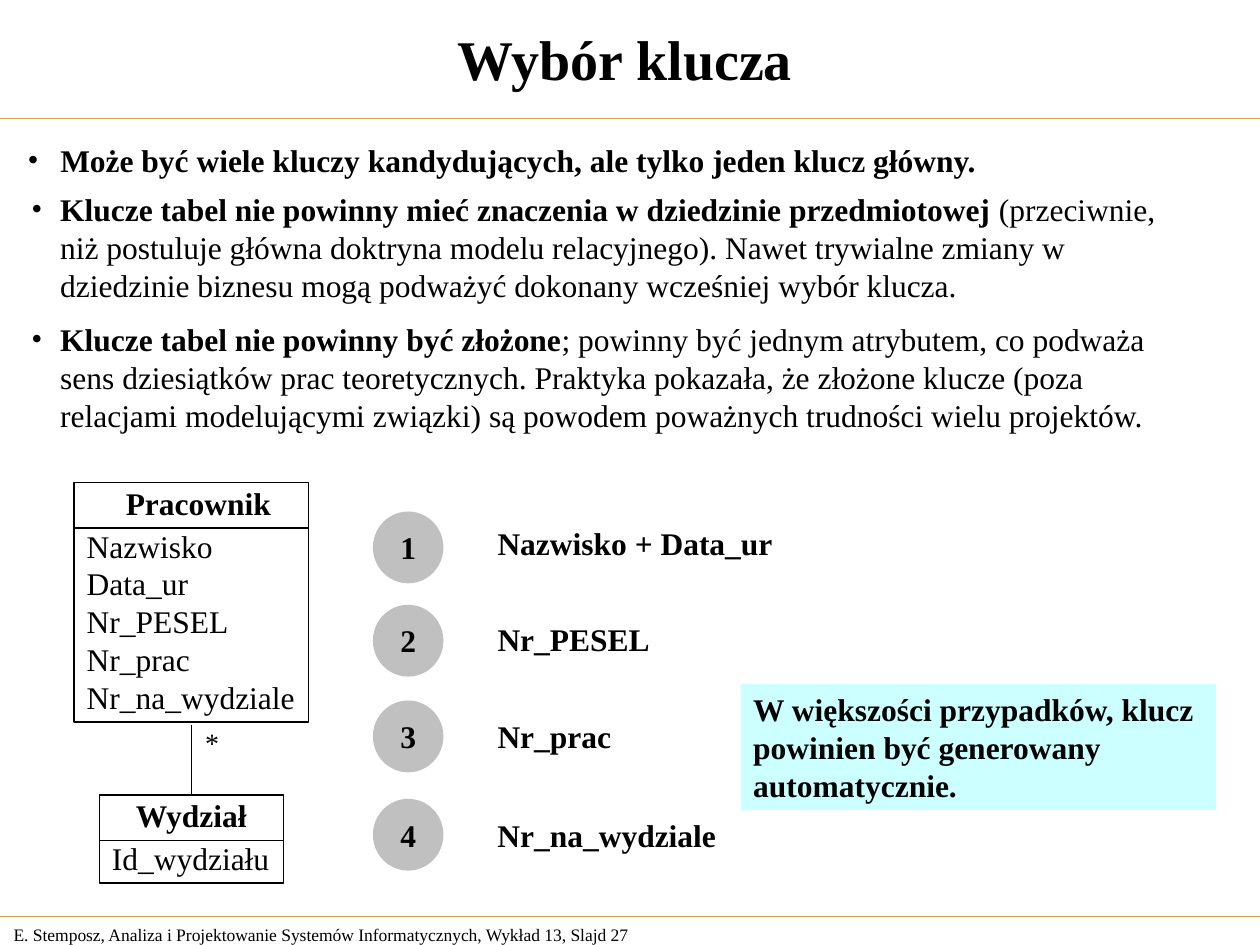
from dataclasses import dataclass

from lxml.etree import SubElement
from pptx import Presentation
from pptx.dml.color import RGBColor as Rgb
from pptx.enum.shapes import MSO_CONNECTOR as Connector, MSO_SHAPE as Preset
from pptx.enum.text import MSO_ANCHOR as Anchor, PP_ALIGN as Align
from pptx.oxml.ns import qn
from pptx.util import Inches, Pt

# The slide is a grid of 100 columns and 75 rows
WIDTH, HEIGHT = Inches(10), Inches(7.5)
COLUMN, ROW = WIDTH / 100, HEIGHT / 75


@dataclass(frozen=True)
class Theme:
    font: str = "Times New Roman"
    ink: str = "000000"
    rule: str = "FF9900"
    paper: str = "FFFFFF"
    badge: str = "C0C0C0"
    callout: str = "CCFFFF"
    title: int = 32
    body: int = 18
    mark: int = 16
    footer: int = 10
    outline: float = 1


THEME = Theme()


def place(left, top, width, height):
    return (round(left * COLUMN), round(top * ROW),
            round(width * COLUMN), round(height * ROW))


def add_run(paragraph, text, size=THEME.body, bold=False):
    run = paragraph.add_run()
    run.text = text
    run.font.name = THEME.font
    run.font.size = Pt(size)
    run.font.bold = bold
    run.font.color.rgb = Rgb.from_string(THEME.ink)


def add_bullet(paragraph, indent):
    properties = paragraph._p.get_or_add_pPr()
    properties.set("marL", str(Inches(indent)))
    properties.set("indent", str(-Inches(indent)))
    SubElement(properties, qn("a:buFont"), typeface=THEME.font)
    SubElement(properties, qn("a:buChar"), char="•")


def write_lines(frame, lines, size=THEME.body, bold=False, align=Align.LEFT,
                anchor=Anchor.TOP, wrap=True):
    frame.word_wrap = wrap
    frame.vertical_anchor = anchor
    for index, line in enumerate(lines):
        paragraph = frame.paragraphs[0] if index == 0 else frame.add_paragraph()
        paragraph.alignment = align
        add_run(paragraph, line, size, bold)


def add_label(slide, box, text, **style):
    frame = slide.shapes.add_textbox(*place(*box)).text_frame
    write_lines(frame, [text], **style)


def add_bullets(slide, box, items, indent, line_spacing=1.0, gap=0):
    """Each item is a bold lead and a plain remainder."""
    frame = slide.shapes.add_textbox(*place(*box)).text_frame
    frame.word_wrap = True
    for index, (lead, rest) in enumerate(items):
        paragraph = frame.paragraphs[0] if index == 0 else frame.add_paragraph()
        paragraph.line_spacing = line_spacing
        if index:
            paragraph.space_before = Pt(gap)
        add_bullet(paragraph, indent)
        paragraph.font.size = Pt(THEME.body)
        add_run(paragraph, lead, bold=True)
        if rest:
            add_run(paragraph, rest)


def add_panel(slide, preset, box, fill=None, outlined=False):
    panel = slide.shapes.add_shape(preset, *place(*box))
    panel.shadow.inherit = False
    if fill:
        panel.fill.solid()
        panel.fill.fore_color.rgb = Rgb.from_string(fill)
    else:
        panel.fill.background()
    if outlined:
        panel.line.color.rgb = Rgb.from_string(THEME.ink)
        panel.line.width = Pt(THEME.outline)
    else:
        panel.line.fill.background()
    return panel.text_frame


def add_line(slide, start, end, color=THEME.ink):
    line = slide.shapes.add_connector(
        Connector.STRAIGHT, *place(*start, *end))
    line.line.color.rgb = Rgb.from_string(color)
    line.line.width = Pt(THEME.outline)
    SubElement(line._element.spPr, qn("a:effectLst"))


def add_entity(slide, box, name, name_box, attributes, fill=None):
    """A class box: name compartment above a divider, attributes below."""
    left, top, width, _ = box
    frame = add_panel(slide, Preset.RECTANGLE, box, fill, outlined=True)
    frame.margin_top = Inches(0.35)
    write_lines(frame, attributes, wrap=False)
    divider = top + 3.6
    add_line(slide, (left, divider), (left + width, divider))
    add_label(slide, name_box, name, bold=True, wrap=False)


def add_candidate(slide, number, badge_top, key, key_top, key_width):
    badge = add_panel(slide, Preset.OVAL, (29.6, badge_top, 5.6, 5.7), THEME.badge)
    write_lines(badge, [str(number)], bold=True, align=Align.CENTER)
    add_label(slide, (38.5, key_top, key_width, 4), key, bold=True, wrap=False)


def main():
    deck = Presentation()
    deck.slide_width, deck.slide_height = WIDTH, HEIGHT
    slide = deck.slides.add_slide(deck.slide_layouts[6])

    # Footer, rules and title
    add_label(slide, (0.1, 72.8, 52.4, 2.7),
              "E. Stemposz, Analiza i Projektowanie Systemów Informatycznych, "
              "Wykład 13, Slajd 27", size=THEME.footer, anchor=Anchor.MIDDLE)
    for rule_top in (9.4, 72.75):
        add_line(slide, (0, rule_top), (100, rule_top), THEME.rule)
    add_label(slide, (0, 1.2, 99.2, 6.8), "Wybór klucza", size=THEME.title,
              bold=True, align=Align.CENTER, anchor=Anchor.MIDDLE)

    # Rules for choosing a key
    add_bullets(slide, (1.2, 11, 98.8, 4.1), [
        ("Może być wiele kluczy kandydujących, ale tylko jeden klucz główny.", ""),
    ], indent=0.26, line_spacing=0.9)
    add_bullets(slide, (1.5, 14.6, 94.7, 20.4), [
        ("Klucze tabel nie powinny mieć znaczenia w dziedzinie przedmiotowej",
         " (przeciwnie, niż postuluje główna doktryna modelu relacyjnego). "
         "Nawet trywialne zmiany w dziedzinie biznesu mogą podważyć dokonany "
         "wcześniej wybór klucza."),
        ("Klucze tabel nie powinny być złożone",
         "; powinny być jednym atrybutem, co podważa sens dziesiątków prac "
         "teoretycznych. Praktyka pokazała, że złożone klucze (poza relacjami "
         "modelującymi związki) są powodem poważnych trudności wielu projektów."),
    ], indent=0.23, gap=9.5)

    # Class diagram: employee and department
    add_line(slide, (15.2, 57.5), (15.2, 63.1))
    add_entity(slide, (5.9, 38.3, 18.6, 19), "Pracownik", (9, 37.9, 13.8, 4),
               ["Nazwisko", "Data_ur", "Nr_PESEL", "Nr_prac", "Nr_na_wydziale"])
    add_entity(slide, (7.9, 63.1, 14.6, 7), "Wydział", (9.8, 62.7, 11.2, 4),
               ["Id_wydziału"], THEME.paper)
    add_label(slide, (15.3, 57.1, 3.1, 3.7), "*", size=THEME.mark, wrap=False)

    # Candidate keys
    candidates = [
        (40.6, "Nazwisko + Data_ur", 41.1, 24.5),
        (48, "Nr_PESEL", 48.7, 14.5),
        (55.6, "Nr_prac", 56.4, 11.5),
        (63.4, "Nr_na_wydziale", 64.3, 20),
    ]
    for number, candidate in enumerate(candidates, start=1):
        add_candidate(slide, number, *candidate)

    # Recommendation
    advice = add_panel(slide, Preset.RECTANGLE, (58.8, 54.3, 37.7, 10), THEME.callout)
    write_lines(advice, ["W większości przypadków, klucz powinien być "
                         "generowany automatycznie."], bold=True)

    deck.save("out.pptx")


if __name__ == "__main__":
    main()
